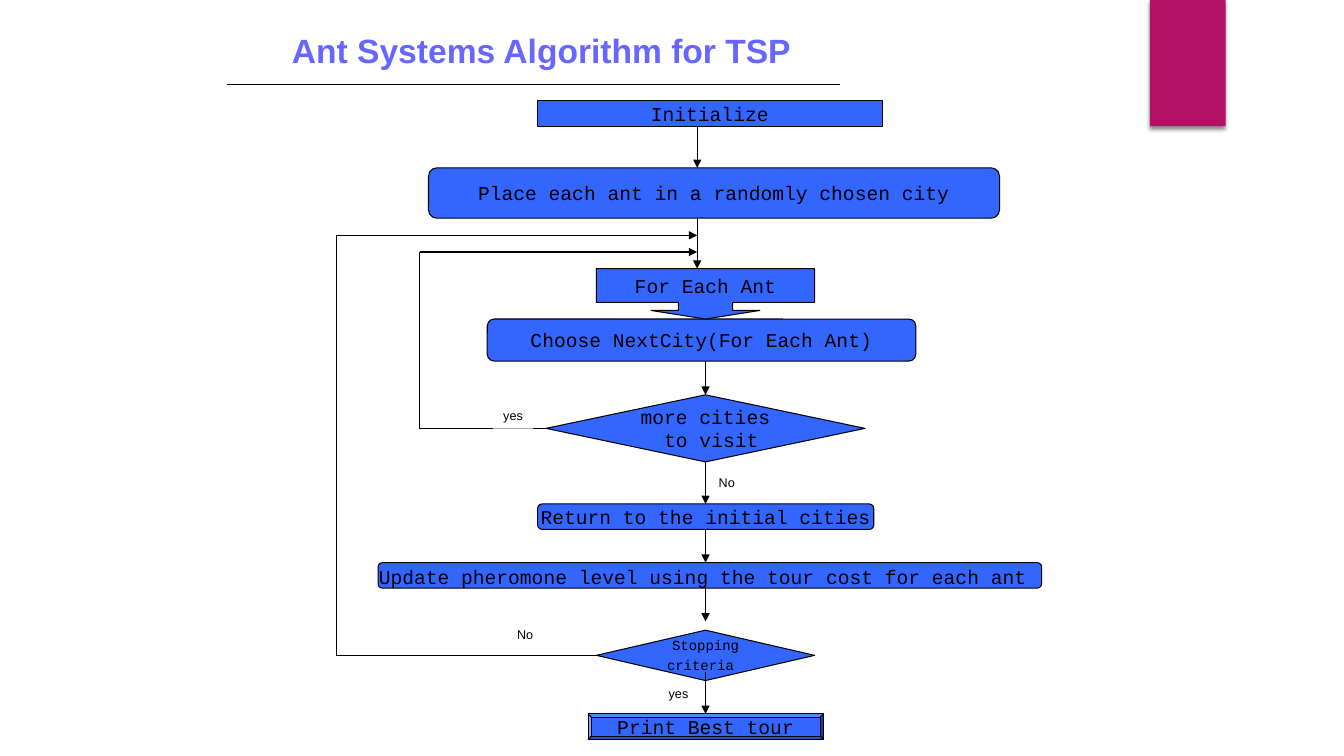
from dataclasses import dataclass
from typing import List, Optional, Tuple

import pptx
import pptx.dml.color
import pptx.enum.shapes
import pptx.enum.text
import pptx.oxml
import pptx.oxml.ns
import pptx.util
from lxml import etree

Cm, Pt = pptx.util.Cm, pptx.util.Pt
RGBColor = pptx.dml.color.RGBColor
Shape = pptx.enum.shapes.MSO_SHAPE
Anchor = pptx.enum.text.MSO_ANCHOR
qn = pptx.oxml.ns.qn

BLACK = RGBColor(0x00, 0x00, 0x00)
WHITE = RGBColor(0xFF, 0xFF, 0xFF)
BOX_BLUE = RGBColor(0x33, 0x66, 0xFF)
TITLE_VIOLET = RGBColor(0x67, 0x67, 0xFF)
RIBBON_PINK = RGBColor(0xB3, 0x11, 0x66)

Point = Tuple[float, float]


@dataclass
class Step:
    """A flowchart box; lengths in centimetres."""
    kind: int
    left: float
    top: float
    width: float
    height: float
    text: str
    size: float = 14
    tail_size: Optional[float] = None  # size of the closing space
    adjustments: Tuple[float, ...] = ()


@dataclass
class Route:
    """A line through several points, in centimetres."""
    points: List[Point]
    arrow: bool = True


@dataclass
class Label:
    """A yes/no answer beside a branch."""
    text: str
    left: float
    top: float
    width: float


ALTERNATE = Shape.FLOWCHART_ALTERNATE_PROCESS
DECISION = Shape.FLOWCHART_DECISION

STEPS = [
    Step(Shape.FLOWCHART_PROCESS, 13.55, 2.54, 8.68, 0.64, "Initialize"),
    Step(ALTERNATE, 10.8, 4.23, 14.39, 1.27,
         "Place each ant in a randomly chosen city"),
    Step(ALTERNATE, 12.28, 8.04, 10.8, 1.06, "Choose NextCity(For Each Ant)"),
    Step(DECISION, 13.76, 9.95, 8.04, 1.69, "more cities\n to visit"),
    Step(Shape.DOWN_ARROW_CALLOUT, 15.03, 6.77, 5.5, 1.27, "For Each Ant",
         adjustments=(1.08, 1.08, 0.17, 0.67)),
    Step(Shape.ROUNDED_RECTANGLE, 13.55, 12.7, 8.47, 0.64,
         "Return to the initial cities", adjustments=(0.17,)),
    Step(ALTERNATE, 9.53, 14.18, 16.72, 0.64,
         "Update pheromone level using the tour cost for each ant ", tail_size=16),
    Step(Shape.BEVEL, 14.82, 17.99, 5.93, 0.64, "Print Best tour",
         adjustments=(0.125,)),
    Step(DECISION, 15.03, 15.88, 5.5, 1.27, "Stopping\ncriteria ",
         size=10, tail_size=12),
]

ENTRY_X, MAIN_X = 17.57, 17.78
ROUTES = [
    Route([(5.72, 2.12), (21.17, 2.12)], arrow=False),  # title rule
    Route([(ENTRY_X, 3.18), (ENTRY_X, 4.23)]),
    Route([(ENTRY_X, 5.5), (ENTRY_X, 6.77)]),
    Route([(MAIN_X, 9.1), (MAIN_X, 9.95)]),
    Route([(MAIN_X, 11.64), (MAIN_X, 12.7)]),
    Route([(MAIN_X, 13.34), (MAIN_X, 14.18)]),
    Route([(MAIN_X, 14.82), (MAIN_X, 15.66)]),
    Route([(MAIN_X, 16.93), (MAIN_X, 17.99)]),
    # Loops back to the next ant and the next tour
    Route([(13.76, 10.8), (10.58, 10.8), (10.58, 6.35), (ENTRY_X, 6.35)]),
    Route([(15.03, 16.51), (8.47, 16.51), (8.47, 5.93), (ENTRY_X, 5.93)]),
]

LABELS = [
    Label("yes", 12.42, 10.16, 1.02),
    Label("No", 17.86, 11.85, 0.91),
    Label("yes", 16.59, 17.15, 1.02),
    Label("No", 12.78, 15.66, 0.91),
]


def write(sp, text: str, font: str, size: float, color: RGBColor,
          bold: bool = False, tail_size: Optional[float] = None) -> None:
    tf = sp.text_frame
    tf.word_wrap = False
    lines = text.split("\n")
    for i, line in enumerate(lines):
        p = tf.paragraphs[0] if i == 0 else tf.add_paragraph()
        p.alignment = pptx.enum.text.PP_ALIGN.CENTER
        p.font.name, p.font.size, p.font.bold = font, Pt(size), bold
        p.font.color.rgb = color
        if tail_size and i == len(lines) - 1:
            p.add_run().text = line[:-1]
            r = p.add_run()
            r.text, r.font.size = line[-1], Pt(tail_size)
        else:
            p.add_run().text = line


def add_filled(slide, kind: int, left: float, top: float, width: float,
               height: float, fill: RGBColor):
    sp = slide.shapes.add_shape(kind, Cm(left), Cm(top), Cm(width), Cm(height))
    sp.shadow.inherit = False
    sp.fill.solid()
    sp.fill.fore_color.rgb = fill
    sp.line.fill.background()
    return sp


def add_ribbon(slide) -> None:
    sp = add_filled(slide, Shape.RECTANGLE, 28.98, 0, 1.91, 3.18, RIBBON_PINK)
    effects = sp._element.spPr.find(qn("a:effectLst"))
    shadow = etree.SubElement(effects, qn("a:outerShdw"), blurRad=str(Pt(3)),
                              dist=str(Pt(2)), dir="5400000", rotWithShape="0")
    color = etree.SubElement(shadow, qn("a:srgbClr"), val=str(BLACK))
    etree.SubElement(color, qn("a:alpha"), val="45000")


def add_title(slide) -> None:
    sp = slide.shapes.add_textbox(Cm(7.09), Cm(0.64), Cm(13.11), Cm(1.27))
    write(sp, "Ant Systems Algorithm for TSP", "Arial", 24, TITLE_VIOLET, bold=True)


def add_step(slide, step: Step) -> None:
    sp = add_filled(slide, step.kind, step.left, step.top, step.width,
                    step.height, BOX_BLUE)
    sp.line.color.rgb, sp.line.width = BLACK, Pt(0.75)
    for i, value in enumerate(step.adjustments):
        sp.adjustments[i] = value
    sp.text_frame.vertical_anchor = Anchor.MIDDLE
    write(sp, step.text, "Courier New", step.size, BLACK, tail_size=step.tail_size)


def add_route(slide, route: Route) -> None:
    for start, end in zip(route.points, route.points[1:]):
        line = slide.shapes.add_connector(
            pptx.enum.shapes.MSO_CONNECTOR.STRAIGHT,
            Cm(start[0]), Cm(start[1]), Cm(end[0]), Cm(end[1]))
        line.line.color.rgb, line.line.width = BLACK, Pt(0.75)
        if route.arrow and end == route.points[-1]:
            etree.SubElement(line.line._get_or_add_ln(), qn("a:tailEnd"),
                             type="triangle")
        etree.SubElement(line._element.spPr, qn("a:effectLst"))


def add_label(slide, label: Label) -> None:
    sp = add_filled(slide, Shape.RECTANGLE, label.left, label.top, label.width,
                    0.64, WHITE)
    sp.text_frame.vertical_anchor = Anchor.TOP
    write(sp, label.text, "Arial", 9, BLACK)


def main() -> None:
    prs = pptx.Presentation()
    prs.slide_width, prs.slide_height = Cm(33.87), Cm(19.05)
    slide = prs.slides.add_slide(prs.slide_layouts[6])

    # Heading and decoration
    add_ribbon(slide)
    add_title(slide)

    # Flowchart
    for step in STEPS:
        add_step(slide, step)
    for route in ROUTES:
        add_route(slide, route)
    for label in LABELS:
        add_label(slide, label)

    prs.save("out.pptx")


if __name__ == "__main__":
    main()
